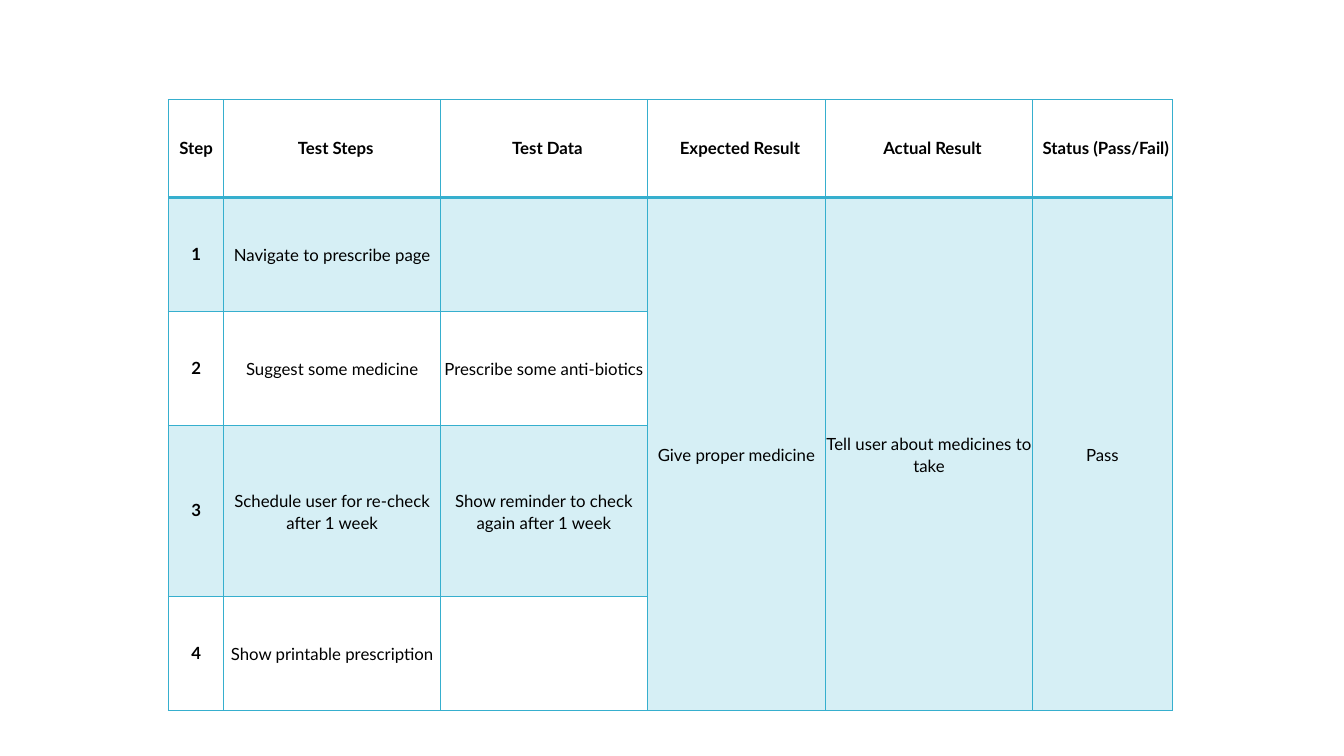
from lxml.etree import SubElement
from pptx import Presentation
from pptx.dml.color import RGBColor
from pptx.enum.text import MSO_ANCHOR as Anchor, PP_ALIGN as Align
from pptx.oxml.ns import qn
from pptx.util import Inches, Pt

TEAL = "36AFCE"
BLACK = "000000"
COLUMN_WIDTHS = [0.55, 2.15, 2.05, 1.77, 2.05, 1.39]
ROW_HEIGHTS = [0.97, 1.13, 1.13, 1.7, 1.13]
FIRST_MERGED_COLUMN = 3
TEST_CASE = [
    ["Step", "Test Steps", "Test Data", "Expected Result", "Actual Result", "Status (Pass/Fail)"],
    ["1", "Navigate to prescribe page", "", "Give proper medicine",
     "Tell user about medicines to take", "Pass"],
    ["2", "Suggest some medicine", "Prescribe some anti-biotics", "", "", ""],
    ["3", "Schedule user for re-check after 1 week",
     "Show reminder to check again after 1 week", "", "", ""],
    ["4", "Show printable prescription", "", "", "", ""],
]


def color(hex_string):
    return RGBColor.from_string(hex_string)


def add_border(cell, side, width):
    line = SubElement(cell._tc.get_or_add_tcPr(), qn(f"a:ln{side}"), w=str(Pt(width)))
    fill = SubElement(line, qn("a:solidFill"))
    SubElement(fill, qn("a:srgbClr"), val=TEAL)


presentation = Presentation()
presentation.slide_width = Inches(13.33)
presentation.slide_height = Inches(7.5)
slide = presentation.slides.add_slide(presentation.slide_layouts[6])

# Table grid
shape = slide.shapes.add_table(
    len(ROW_HEIGHTS), len(COLUMN_WIDTHS), Inches(1.67), Inches(0.99),
    Inches(sum(COLUMN_WIDTHS)), Inches(sum(ROW_HEIGHTS)))
table = shape.table
table.first_row = table.horz_banding = False
for column, width in zip(table.columns, COLUMN_WIDTHS):
    column.width = Inches(width)
for row, height in zip(table.rows, ROW_HEIGHTS):
    row.height = Inches(height)

# Result columns span all the steps
last_row = len(ROW_HEIGHTS) - 1
for column_index in range(FIRST_MERGED_COLUMN, len(COLUMN_WIDTHS)):
    table.cell(1, column_index).merge(table.cell(last_row, column_index))

# Cells
for row_index, texts in enumerate(TEST_CASE):
    for column_index, text in enumerate(texts):
        cell = table.cell(row_index, column_index)
        is_header = row_index == 0
        is_step = column_index == 0

        # Borders, heavier between header and body
        for side in "LRTB":
            heavy = (is_header and side == "B") or (row_index == 1 and side == "T")
            add_border(cell, side, 2 if heavy else 1)

        # Odd steps are tinted
        if row_index % 2 or (column_index >= FIRST_MERGED_COLUMN and not is_header):
            cell.fill.solid()
            cell.fill.fore_color.rgb = color(TEAL)
            tint = cell._tc.tcPr.find(qn("a:solidFill")).find(qn("a:srgbClr"))
            SubElement(tint, qn("a:alpha"), val="20000")
        else:
            cell.fill.background()

        # Text
        cell.vertical_anchor = Anchor.MIDDLE
        cell.margin_left = cell.margin_right = cell.margin_top = cell.margin_bottom = 0
        if not text:
            continue
        paragraph = cell.text_frame.paragraphs[0]
        paragraph.alignment = Align.CENTER
        paragraph.space_after = Pt(8)
        if is_header:
            paragraph.line_spacing = Pt(12.9)
        else:
            paragraph.line_spacing = Pt(13.2) if is_step else 1.07
        if is_header and not is_step:
            paragraph._p.get_or_add_pPr().set("marL", str(Inches(0.07)))
        run = paragraph.add_run()
        run.text = text
        run.font.name = "Lato"
        run.font.size = Pt(12)
        run.font.bold = is_header or is_step
        run.font.color.rgb = color(BLACK)

presentation.save("out.pptx")
